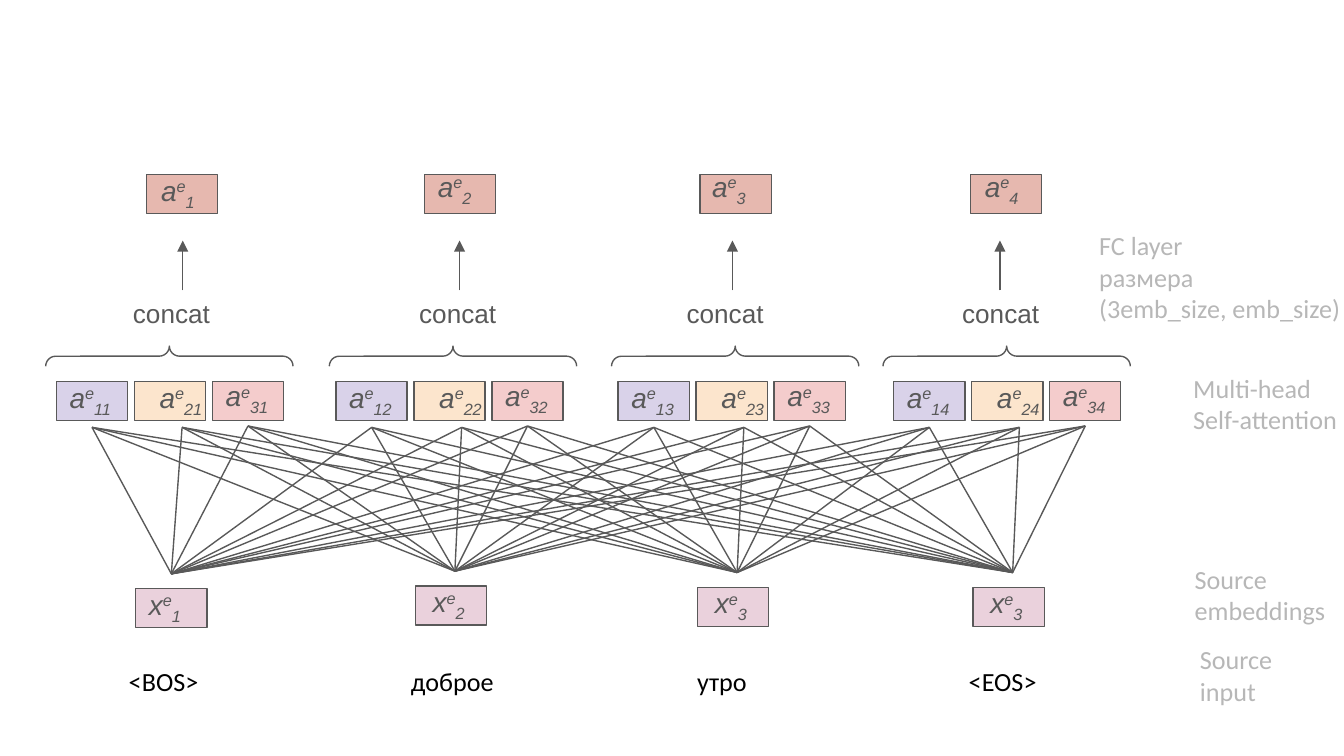
from lxml import etree
from pptx import Presentation
from pptx.dml.color import RGBColor
from pptx.enum.shapes import MSO_CONNECTOR, MSO_SHAPE
from pptx.oxml.ns import qn
from pptx.util import Inches, Pt

RECT, BRACE, STRAIGHT = MSO_SHAPE.RECTANGLE, MSO_SHAPE.LEFT_BRACE, MSO_CONNECTOR.STRAIGHT
TOP, BOTTOM = 0, 2

DARK = RGBColor(0x59, 0x59, 0x59)
GRAY = RGBColor(0xB7, 0xB7, 0xB7)
BLACK = RGBColor(0, 0, 0)
LILAC = RGBColor(0xD9, 0xD2, 0xE9)
CREAM = RGBColor(0xFC, 0xE5, 0xCD)
ROSE = RGBColor(0xF4, 0xCC, 0xCC)
PINK = RGBColor(0xEA, 0xD1, 0xDC)
BRICK = RGBColor(0xE6, 0xB8, 0xAF)

BOX_W, BOX_H, LABEL_H = 0.53, 0.29, 0.45
HEAD_STEP = 0.58
BRACE_W, BRACE_SPAN = 0.15, 1.84

TOKENS = ["<BOS>", "доброе", "утро", "<EOS>"]
TOKEN_TABS = [2.1, 4.23, 6.25]

# embedding index, column left, embedding label (dx, top), brace centre, concat left, arrow x, output left, output label
COLUMNS = [
    ("1", 0.42, (0.59, 4.27), 1.26, 0.89, 1.36, 1.09, (1.1, 1.19)),
    ("2", 2.5, (0.62, 4.25), 3.37, 3.02, 3.42, 3.16, (3.16, 1.16)),
    ("3", 4.6, (0.62, 4.26), 5.47, 5.01, 5.45, 5.21, (5.2, 1.16)),
    ("3", 6.65, (0.62, 4.26), 7.49, 7.06, 7.44, 7.22, (7.23, 1.16)),
]
HEADS = [(LILAC, 0, 2.73), (CREAM, 0.09, 2.73), (ROSE, 0, 2.72)]
NOTES = [
    (["FC layer", "размера", "(3emb_size, emb_size)"], 8.08, 1.66, 2.16, 0.81),
    (["Multi-head", "Self-attention"], 8.78, 2.72, 1.54, 0.57),
    (["Source", "embeddings"], 8.79, 4.14, 1.29, 0.57),
    (["Source input"], 8.83, 4.74, 0.83, 0.57),
]


def add_text(s, lines, x, y, w, h, font, color, inset=0.05, tabs=()):
    """Add a wrapped 14 pt text box with one paragraph per line."""
    tb = s.shapes.add_textbox(Inches(x), Inches(y), Inches(w), Inches(h))
    tf = tb.text_frame
    tf.word_wrap = True
    tf.margin_top = tf.margin_bottom = Inches(inset)
    tf.text = "\n".join(lines)
    for p in tf.paragraphs:
        if tabs:
            tab_list = etree.SubElement(p._p.get_or_add_pPr(), qn("a:tabLst"))
            for tab in tabs:
                etree.SubElement(tab_list, qn("a:tab"), pos=str(Inches(tab)), algn="l")
        p.font.name, p.font.size, p.font.color.rgb = font, Pt(14), color
    return tb


def add_symbol(s, base, index, x, y):
    """Add an italic symbol with superscript e and a subscript index."""
    tb = add_text(s, [], x, y, BOX_W, LABEL_H, "Arial", DARK, 0.1)
    p = tb.text_frame.paragraphs[0]
    p.font.size, p.font.italic = Pt(15), True
    for text, baseline in ((base, 0), ("e", 30000), (index, -25000)):
        r = p.add_run()
        r.text = text
        if baseline:
            r.font._element.set("baseline", str(baseline))
    return tb


def add_box(s, x, y, color):
    """Add an outlined vector box."""
    sp = s.shapes.add_shape(RECT, Inches(x), Inches(y), Inches(BOX_W), Inches(BOX_H))
    sp.shadow.inherit = False
    sp.fill.solid()
    sp.fill.fore_color.rgb = color
    sp.line.color.rgb, sp.line.width = DARK, Pt(0.75)


def add_brace(s, cx, cy):
    """Add an upward-pointing brace centred on a point."""
    sp = s.shapes.add_shape(BRACE, Inches(cx - BRACE_W / 2), Inches(cy - BRACE_SPAN / 2),
                            Inches(BRACE_W), Inches(BRACE_SPAN))
    sp.rotation = 90
    sp.adjustments[0] = sp.adjustments[1] = 0.5
    sp.shadow.inherit = False
    sp.fill.background()
    sp.line.color.rgb, sp.line.width = DARK, Pt(0.75)


def add_line(s, x1=0, y1=0, x2=0, y2=0):
    """Add a thin straight connector without a shadow."""
    line = s.shapes.add_connector(STRAIGHT, Inches(x1), Inches(y1), Inches(x2), Inches(y2))
    line.line.color.rgb, line.line.width = DARK, Pt(0.75)
    etree.SubElement(line._element.spPr, qn("a:effectLst"))
    return line


def add_heads(s, x, column):
    """Add the three attention heads of a column and return their labels."""
    labels = []
    for i, (color, dx, top) in enumerate(HEADS):
        left = x + i * HEAD_STEP
        add_box(s, left, 2.84, color)
        labels.append(add_symbol(s, "a", f"{i + 1}{column}", left + dx, top))
    return labels


def add_embedding(s, x, index, label):
    """Add a source embedding and return its label."""
    dx, top = label
    add_box(s, x + 0.59, top + 0.11, PINK)
    return add_symbol(s, "x", index, x + dx, top)


def add_output(s, column, brace_x, concat_x, arrow_x, out_x, label):
    """Add the brace, concat step, arrow and output vector of a column."""
    add_brace(s, brace_x, 2.65)
    add_text(s, ["concat"], concat_x, 2.11, 0.91, 0.44, "Arial", DARK, 0.1)
    arrow = add_line(s, arrow_x, 2.16, arrow_x, 1.79)
    etree.SubElement(arrow.line._get_or_add_ln(), qn("a:tailEnd"), type="triangle")
    add_box(s, out_x, 1.3, BRICK)
    add_symbol(s, "a", str(column), *label)


def add_attention(s, heads, embeddings):
    """Join every attention head to every embedding."""
    for head in heads:
        for embedding in embeddings:
            line = add_line(s)
            line.begin_connect(head, BOTTOM)
            line.end_connect(embedding, TOP)


def main():
    """Build the multi-head self-attention slide."""
    prs = Presentation()
    prs.slide_width = Inches(10)
    prs.slide_height = prs.slide_width * 9 // 16
    s = prs.slides.add_slide(prs.slide_layouts[6])
    add_text(s, ["\t".join(TOKENS)], 0.86, 4.9, 8.63, 0.57, "Calibri", BLACK, tabs=TOKEN_TABS)
    heads, embeddings = [], []
    for column, (index, x, label, *output) in enumerate(COLUMNS, 1):
        embeddings.append(add_embedding(s, x, index, label))
        heads += add_heads(s, x, column)
        add_output(s, column, *output)
    add_attention(s, heads, embeddings)
    for lines, *box in NOTES:
        add_text(s, lines, *box, "Calibri", GRAY)
    prs.save("out.pptx")


if __name__ == "__main__":
    main()
